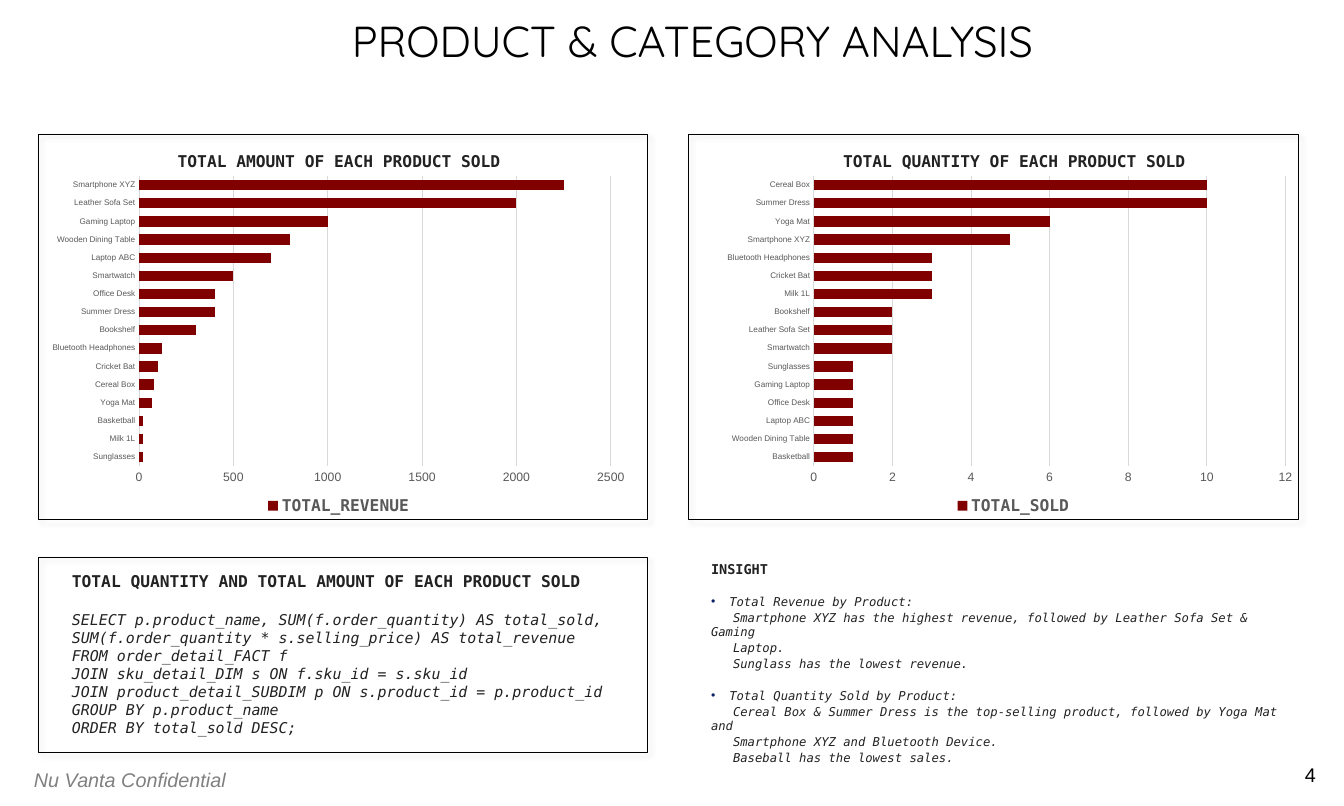
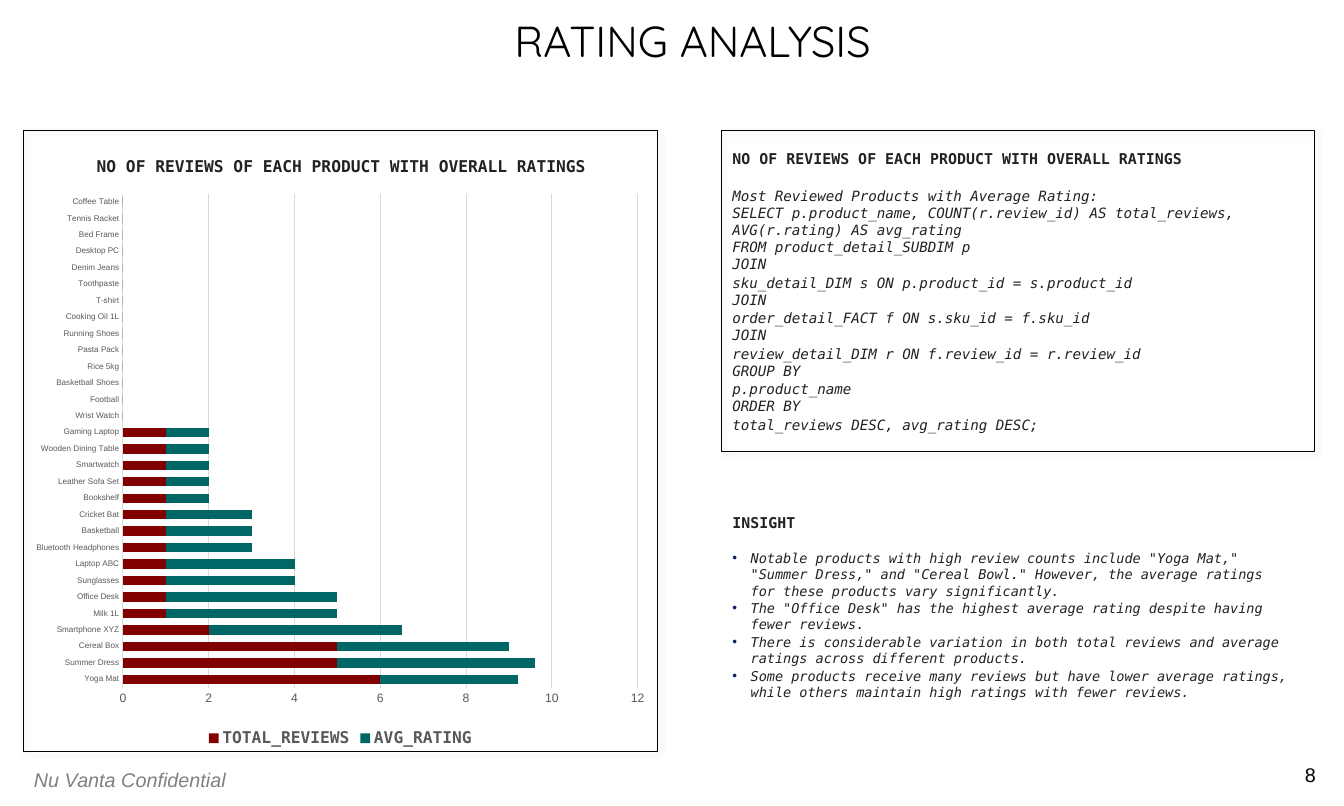
from copy import deepcopy

from pptx import Presentation
from pptx.chart.data import CategoryChartData
from pptx.dml.color import RGBColor
from pptx.enum import chart as ch, shapes, text
from pptx.oxml import parse_xml
from pptx.oxml.ns import nsdecls, qn
from pptx.util import Pt

COLOURS = {
    "black": "000000", "ink": "222222", "label": "595959", "grid": "D9D9D9",
    "footer": "808080", "bullet": "0B1F65", "red": "800000", "teal": "006666",
}
MONO, SANS, DISPLAY = "DejaVu Sans Mono", "Arial", "Quicksand"
CHAR_WIDTH = 0.6        # width of one MONO letter, as a share of its size
LINE_GAP = 0.1          # space before a paragraph, as a share of its size
GROUP_GAP = 1.28        # space before a group of paragraphs, likewise


def colour(name):
    return RGBColor.from_string(COLOURS[name])


def style(font, size, shade, name=MONO, bold=False, italic=False):
    font.size, font.name, font.bold, font.italic = Pt(size), name, bold, italic
    font.color.rgb = colour(shade)


def add_box(slide, box):
    frame = slide.shapes.add_textbox(*map(Pt, box)).text_frame
    frame.word_wrap = True
    return frame


def write(para, words, size, shade, **look):
    """Fill a paragraph; its line breaks take the look of its text."""
    para.text = words
    para.space_before = Pt(round(size * LINE_GAP, 1))
    for span in para.runs:
        style(span.font, size, shade, **look)
    for line_break in para._p.findall(qn("a:br")):
        line_break.insert(0, deepcopy(para.runs[0]._r.rPr))


def add_bullet(para):
    props = para._p.get_or_add_pPr()
    props.set("marL", str(Pt(13.5)))
    props.set("indent", str(-Pt(13.5)))
    props.append(parse_xml(f'<a:buClr {nsdecls("a")}><a:srgbClr val="{COLOURS["bullet"]}"/></a:buClr>'))
    props.append(parse_xml(f'<a:buFont {nsdecls("a")} typeface="Arial"/>'))
    props.append(parse_xml(f'<a:buChar {nsdecls("a")} char="•"/>'))


def add_inset(para):
    para._p.get_or_add_pPr().set("indent", str(Pt(16.25)))


def add_plain(para):
    para.alignment = text.PP_ALIGN.LEFT


def add_prose(slide, box, heading, heading_size, size, groups):
    """A bold heading over groups of (paragraph kind, words)."""
    frame = add_box(slide, box)
    write(frame.paragraphs[0], heading, heading_size, "ink", bold=True)
    for group in groups:
        for index, (kind, words) in enumerate(group):
            para = frame.add_paragraph()
            write(para, words, size, "ink", italic=True)
            if index == 0:
                para.space_before = Pt(round(size * (GROUP_GAP + LINE_GAP), 1))
            kind(para)


def add_frame(slide, box):
    frame = slide.shapes.add_shape(shapes.MSO_SHAPE.RECTANGLE, *map(Pt, box))
    frame.fill.background()
    frame.line.color.rgb = colour("black")
    frame.line.width = Pt(0.25)
    frame._element.spPr.append(parse_xml(
        f'<a:effectLst {nsdecls("a")}><a:outerShdw blurRad="{Pt(4)}" dist="{Pt(3)}" '
        f'dir="2700000" algn="tl" rotWithShape="0"><a:srgbClr val="{COLOURS["black"]}">'
        '<a:alpha val="40000"/></a:srgbClr></a:outerShdw></a:effectLst>'))


def set_layout(element, index, target="", **places):
    """Fix a chart part, in shares of the chart's size."""
    for old in element.findall(qn("c:layout")):
        element.remove(old)
    inner = f'<c:layoutTarget val="{target}"/>' if target else ""
    inner += "".join(f'<c:{key}Mode val="edge"/>' for key in "xy")
    inner += "".join(f'<c:{key} val="{value:.3f}"/>' for key, value in places.items())
    element.insert(index, parse_xml(
        f'<c:layout {nsdecls("c")}><c:manualLayout>{inner}</c:manualLayout></c:layout>'))


def style_axes(chart, top, step):
    names, values = chart.category_axis, chart.value_axis
    for axis, size in ((names, 6), (values, 9)):
        axis.major_tick_mark = axis.minor_tick_mark = ch.XL_TICK_MARK.NONE
        style(axis.tick_labels.font, size, "label", SANS)
    names.has_major_gridlines = False
    values.has_major_gridlines = True
    for line in (names.format.line, values.major_gridlines.format.line):
        line.color.rgb = colour("grid")
        line.width = Pt(0.75)
    values.format.line.fill.background()
    values.minimum_scale, values.maximum_scale, values.major_unit = 0, top, step


def add_bars(slide, box, title, names, series, top, step, plot_box, stacked=False):
    """Horizontal bars; series maps a name to its colour and values."""
    data = CategoryChartData()
    data.categories = names
    for name, (_, values) in series.items():
        data.add_series(name, values)
    kind = ch.XL_CHART_TYPE.BAR_STACKED if stacked else ch.XL_CHART_TYPE.BAR_CLUSTERED
    chart = slide.shapes.add_chart(kind, *map(Pt, box), data).chart
    style(chart.font, 12, "black", SANS)

    width, height = box[2:]
    chart.has_title = True
    heading = chart.chart_title.text_frame
    heading.text = title
    style(heading.paragraphs[0].runs[0].font, 12, "ink", bold=True)
    chart.chart_title.include_in_layout = False
    set_layout(chart.chart_title._element, 1,
               x=(1 - (len(title) * 12 * CHAR_WIDTH + 4) / width) / 2, y=0.02 + 3.5 / height)
    set_layout(chart._chartSpace.chart.plotArea, 0, "inner", **dict(zip("xywh", plot_box)))

    chart.has_legend = True
    chart.legend.position = ch.XL_LEGEND_POSITION.BOTTOM
    chart.legend.include_in_layout = False
    style(chart.legend.font, 12, "label", bold=True)
    style_axes(chart, top, step)

    plot = chart.plots[0]
    plot.vary_by_categories = False
    plot.gap_width, plot.overlap = 75, 100 if stacked else -25
    for bars, (shade, _) in zip(plot.series, series.values()):
        bars.format.fill.solid()
        bars.format.fill.fore_color.rgb = colour(shade)
        bars.invert_if_negative = False


def add_page(deck, title, number):
    """A blank slide with the shared title, footer and page number."""
    slide = deck.slides.add_slide(deck.slide_layouts[6])
    corner = add_box(slide, (953.3, 563.5, 18, 17.5))
    corner.margin_left = corner.margin_right = corner.margin_top = corner.margin_bottom = 0
    corner.word_wrap = False
    write(corner.paragraphs[0], str(number), 14.6, "black", name=SANS)
    corner.paragraphs[0].space_before = Pt(0)
    corner.paragraphs[0].alignment = text.PP_ALIGN.RIGHT
    write(add_box(slide, (18, 563.5, 183, 25)).paragraphs[0],
          "Nu Vanta Confidential", 14.6, "footer", name=SANS, italic=True)
    heading = add_box(slide, (124, 7, 774.7, 46)).paragraphs[0]
    write(heading, title, 32, "black", name=DISPLAY)
    heading.alignment = text.PP_ALIGN.CENTER
    return slide


def add_product_slide(deck):
    slide = add_page(deck, "PRODUCT & CATEGORY ANALYSIS", 4)
    revenue = {
        "Sunglasses": 20, "Milk 1L": 20, "Basketball": 20, "Yoga Mat": 70,
        "Cereal Box": 80, "Cricket Bat": 100, "Bluetooth Headphones": 120,
        "Bookshelf": 300, "Summer Dress": 400, "Office Desk": 400,
        "Smartwatch": 500, "Laptop ABC": 700, "Wooden Dining Table": 800,
        "Gaming Laptop": 1000, "Leather Sofa Set": 2000, "Smartphone XYZ": 2250,
    }
    sold = {
        "Basketball": 1, "Wooden Dining Table": 1, "Laptop ABC": 1, "Office Desk": 1,
        "Gaming Laptop": 1, "Sunglasses": 1, "Smartwatch": 2, "Leather Sofa Set": 2,
        "Bookshelf": 2, "Milk 1L": 3, "Cricket Bat": 3, "Bluetooth Headphones": 3,
        "Smartphone XYZ": 5, "Yoga Mat": 6, "Summer Dress": 10, "Cereal Box": 10,
    }
    panels = (
        (28, 6, "TOTAL AMOUNT OF EACH PRODUCT SOLD", "TOTAL_REVENUE", revenue, 2500, 500),
        (508.3, 23.8, "TOTAL QUANTITY OF EACH PRODUCT SOLD", "TOTAL_SOLD", sold, 12, 2),
    )
    for left, inset, title, name, counts, top, step in panels:
        add_bars(slide, (left + inset, 99.4, 432, 284.2), title, list(counts),
                 {name: ("red", list(counts.values()))}, top, step,
                 (0.159, 0.108, 0.806, 0.754))
        add_frame(slide, (left, 99.4, 450, 284.2))

    add_prose(slide, (46, 418, 420, 131),
              "TOTAL QUANTITY AND TOTAL AMOUNT OF EACH PRODUCT SOLD", 12, 11, [[(add_plain, (
                  "SELECT p.product_name, SUM(f.order_quantity) AS total_sold, "
                  "SUM(f.order_quantity * s.selling_price) AS total_revenue\n"
                  "FROM order_detail_FACT f\n"
                  "JOIN sku_detail_DIM s ON f.sku_id = s.sku_id\n"
                  "JOIN product_detail_SUBDIM p ON s.product_id = p.product_id\n"
                  "GROUP BY p.product_name\n"
                  "ORDER BY total_sold DESC;"))]])
    add_frame(slide, (28, 411.6, 450, 144))
    add_prose(slide, (517.8, 410.9, 446.4, 138), "INSIGHT", 10, 9, [
        [(add_bullet, "Total Revenue by Product:"),
         (add_inset, "Smartphone XYZ has the highest revenue, followed by Leather Sofa Set & Gaming"),
         (add_inset, "Laptop."),
         (add_inset, "Sunglass has the lowest revenue.")],
        [(add_bullet, "Total Quantity Sold by Product:"),
         (add_inset, "Cereal Box & Summer Dress is the top-selling product, followed by Yoga Mat and"),
         (add_inset, "Smartphone XYZ and Bluetooth Device."),
         (add_inset, "Baseball has the lowest sales.")],
    ])


def add_rating_slide(deck):
    slide = add_page(deck, "RATING ANALYSIS", 8)
    title = "NO OF REVIEWS OF EACH PRODUCT WITH OVERALL RATINGS"
    rated = {
        "Yoga Mat": (6, 3.2), "Summer Dress": (5, 4.6), "Cereal Box": (5, 4),
        "Smartphone XYZ": (2, 4.5), "Milk 1L": (1, 4), "Office Desk": (1, 4),
        "Sunglasses": (1, 3), "Laptop ABC": (1, 3), "Bluetooth Headphones": (1, 2),
        "Basketball": (1, 2), "Cricket Bat": (1, 2), "Bookshelf": (1, 1),
        "Leather Sofa Set": (1, 1), "Smartwatch": (1, 1),
        "Wooden Dining Table": (1, 1), "Gaming Laptop": (1, 1),
    }
    unrated = ["Wrist Watch", "Football", "Basketball Shoes", "Rice 5kg", "Pasta Pack",
               "Running Shoes", "Cooking Oil 1L", "T-shirt", "Toothpaste", "Denim Jeans",
               "Desktop PC", "Bed Frame", "Tennis Racket", "Coffee Table"]
    ratings = rated | dict.fromkeys(unrated, (0, 0))
    reviews, averages = zip(*ratings.values())
    add_bars(slide, (17.3, 99.4, 468, 455.8), title, list(ratings),
             {"TOTAL_REVIEWS": ("red", reviews), "AVG_RATING": ("teal", averages)},
             12, 2, (0.157, 0.096, 0.812, 0.8), stacked=True)
    add_frame(slide, (17.3, 96.5, 468, 458.6))

    add_prose(slide, (533.6, 107, 393.8, 220.3), title, 11, 10.5, [[
        (add_plain, words) for words in (
            "Most Reviewed Products with Average Rating:\n"
            "SELECT p.product_name, COUNT(r.review_id) AS total_reviews, "
            "AVG(r.rating) AS avg_rating\nFROM product_detail_SUBDIM p\nJOIN",
            "sku_detail_DIM s ON p.product_id = s.product_id\nJOIN",
            "order_detail_FACT f ON s.sku_id = f.sku_id\nJOIN",
            "review_detail_DIM r ON f.review_id = r.review_id\nGROUP BY",
            "p.product_name\nORDER BY",
            "total_reviews DESC, avg_rating DESC;",
        )]])
    add_frame(slide, (532.3, 96.5, 437.8, 236.9))
    add_prose(slide, (533.6, 375.6, 424, 147.6), "INSIGHT", 11, 10, [[
        (add_bullet, words) for words in (
            'Notable products with high review counts include "Yoga Mat," "Summer Dress," '
            'and "Cereal Bowl." However, the average ratings for these products vary '
            'significantly.',
            'The "Office Desk" has the highest average rating despite having fewer reviews.',
            "There is considerable variation in both total reviews and average ratings "
            "across different products.",
            "Some products receive many reviews but have lower average ratings, while "
            "others maintain high ratings with fewer reviews.",
        )]])


def main():
    deck = Presentation()
    deck.slide_width, deck.slide_height = Pt(992.13), Pt(595.25)
    add_product_slide(deck)
    add_rating_slide(deck)
    deck.save("out.pptx")


if __name__ == "__main__":
    main()
